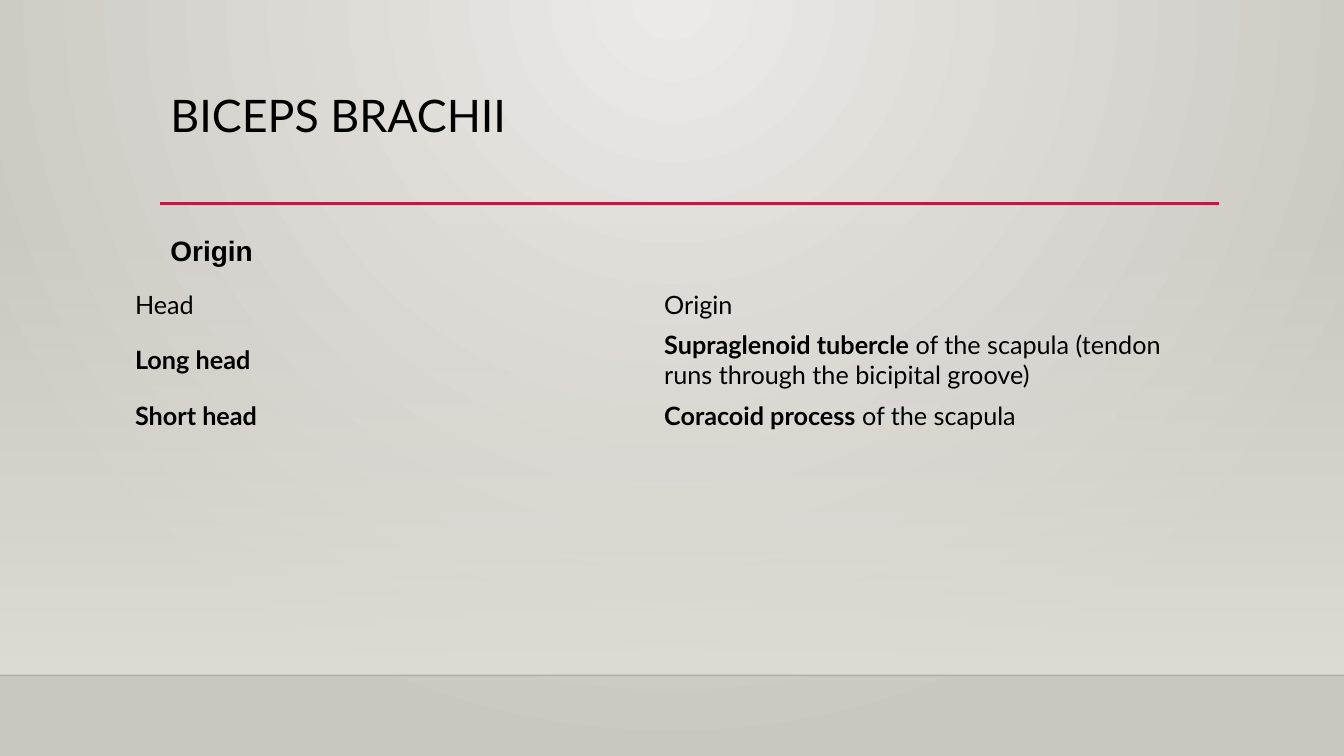
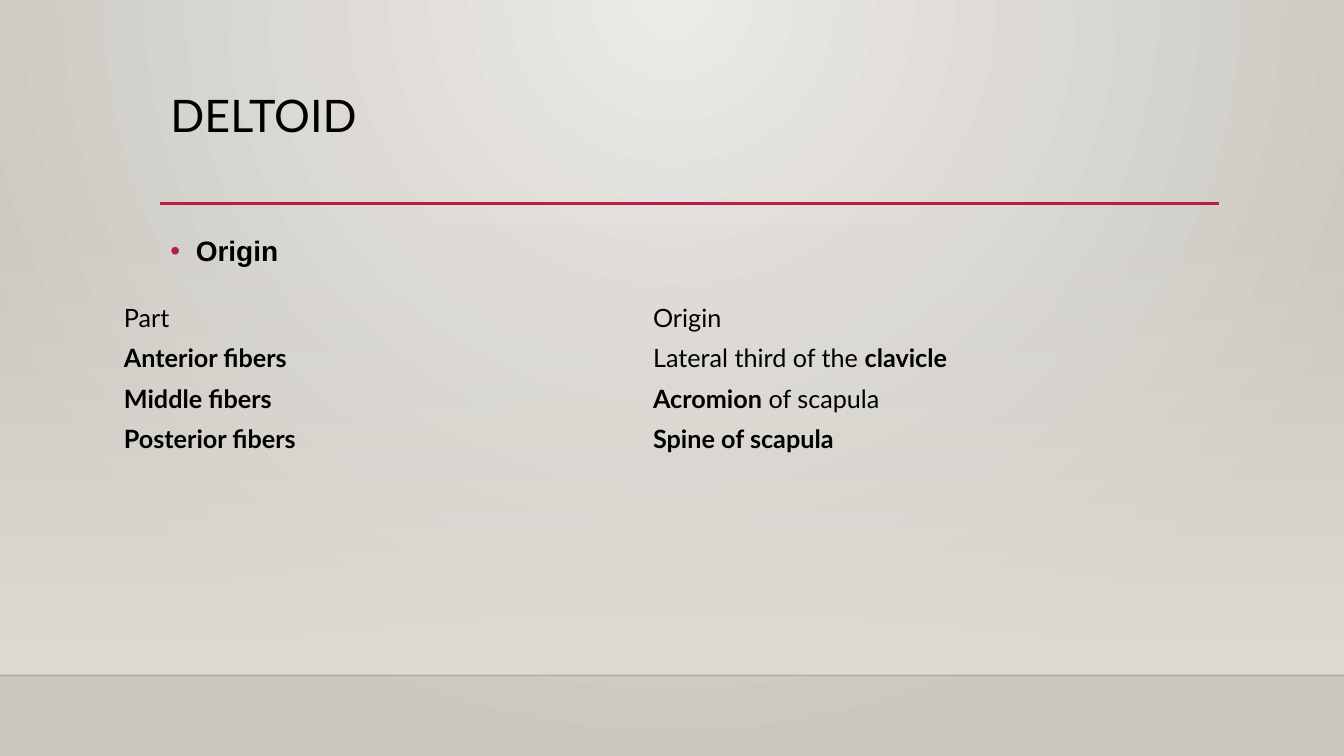
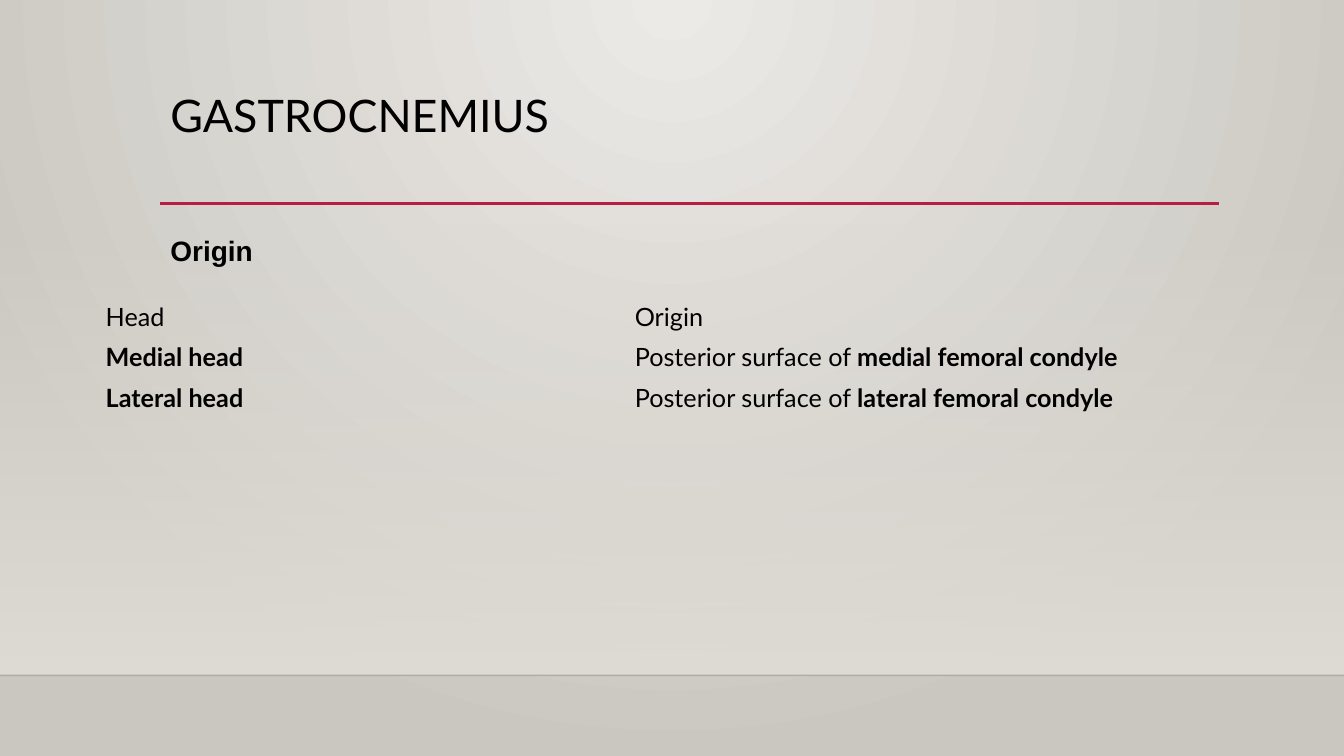
from lxml import etree
from pptx import Presentation
from pptx import util as u
from pptx.dml.color import RGBColor
from pptx.enum import shapes, text
from pptx.oxml.ns import qn

COLORS = {
    "ink": "000000",
    "accent": "B71E42",
    "center": "ECEAE7",
    "edge": "CAC7C1",
    "floor": "DFDBD5",
    "horizon": "000001",
}
WIDTH, HEIGHT = u.Cm(33.87), u.Cm(19.05)
LEFT, CONTENT_WIDTH = u.Cm(4.04), u.Cm(26.67)
HORIZON = u.Cm(17.02)
FLOOR_TOP = u.Cm(5.61)
RULE_TOP, RULE_RIGHT = u.Cm(5.13), u.Cm(30.73)
PLACEHOLDERS = {0: (u.Cm(2.24), u.Cm(2.92)), 1: (u.Cm(5.59), u.Cm(9.58))}
ROW, TALL_ROW = u.Cm(1.02), u.Cm(1.78)
NO_GRID = "{2D5ABB26-0587-4C30-8999-92F81FD0307C}"

MUSCLES = [
    {
        "title": "BICEPS BRACHII",
        "bullet": False,
        "corner": (u.Cm(3.15), u.Cm(7.16)),
        "heights": [ROW, TALL_ROW, ROW],
        "rows": [
            ("Head", "Origin"),
            ("**Long head**", "**Supraglenoid tubercle** of the scapula (tendon runs through the bicipital groove)"),
            ("**Short head**", "**Coracoid process** of the scapula"),
        ],
    },
    {
        "title": "DELTOID",
        "bullet": True,
        "corner": (u.Cm(2.87), u.Cm(7.49)),
        "heights": [ROW] * 4,
        "rows": [
            ("Part", "Origin"),
            ("**Anterior fibers**", "Lateral third of the **clavicle**"),
            ("**Middle fibers**", "**Acromion** of scapula"),
            ("**Posterior fibers**", "**Spine of scapula**"),
        ],
    },
    {
        "title": "GASTROCNEMIUS",
        "bullet": False,
        "corner": (u.Cm(2.41), u.Cm(7.47)),
        "heights": [ROW] * 3,
        "rows": [
            ("Head", "Origin"),
            ("**Medial head**", "Posterior surface of **medial femoral condyle**"),
            ("**Lateral head**", "Posterior surface of **lateral femoral condyle**"),
        ],
    },
]


def rgb(name):
    return RGBColor.from_string(COLORS[name])


def add_xml(parent, tag, **attributes):
    return etree.SubElement(parent, qn(tag), attributes)


def set_alpha(color, percent):
    add_xml(color, "a:alpha", val=str(percent * 1000))


def write(frame, content, font="Lato", size=18, spacing=1.0, before=0,
          anchor=text.MSO_ANCHOR.TOP):
    frame.word_wrap = True
    frame.vertical_anchor = anchor
    paragraph = frame.paragraphs[0]
    paragraph.alignment = text.PP_ALIGN.LEFT
    paragraph.line_spacing = spacing
    paragraph.space_before = u.Pt(before)
    for index, part in enumerate(content.split("**")):
        if part:
            run = paragraph.add_run()
            run.text = part
            run.font.name = font
            run.font.size = u.Pt(size)
            run.font.bold = index % 2 == 1
            run.font.color.rgb = rgb("ink")
    return paragraph


def set_bullet(paragraph, shown):
    properties = paragraph._p.get_or_add_pPr()
    indent = u.Cm(0.64) if shown else 0
    properties.set("marL", str(indent))
    properties.set("indent", str(-indent))
    if shown:
        add_xml(add_xml(properties, "a:buClr"), "a:srgbClr", val=COLORS["accent"])
        add_xml(properties, "a:buFont", typeface="Arial")
        add_xml(properties, "a:buChar", char="•")
    else:
        add_xml(properties, "a:buNone")


def set_gradient(fill, first, last):
    fill.gradient()
    for stop, name in zip(fill.gradient_stops, (first, last)):
        stop.color.rgb = rgb(name)


def add_line(slide, left, right, top, color, width):
    line = slide.shapes.add_connector(shapes.MSO_CONNECTOR.STRAIGHT, left, top, right, top)
    line.line.color.rgb = rgb(color)
    line.line.width = u.Pt(width)
    add_xml(line.element.spPr, "a:effectLst")
    return line


def set_background(master):
    set_gradient(master.background.fill, "center", "edge")
    gradient = master.element.xpath(".//p:bg//a:gradFill")[0]
    gradient.remove(gradient.find(qn("a:lin")))
    circle = add_xml(gradient, "a:path")
    circle.set("path", "circle")
    add_xml(circle, "a:fillToRect", l="43000", t="0", r="43000", b="100000")


def build_master(master, slide):
    set_background(master)
    floor = slide.shapes.add_shape(
        shapes.MSO_SHAPE.RECTANGLE, 0, FLOOR_TOP, WIDTH, HORIZON - FLOOR_TOP)
    floor.shadow.inherit = False
    floor.line.fill.background()
    set_gradient(floor.fill, "floor", "floor")
    floor.fill.gradient_angle = 270
    set_alpha(floor.element.xpath(".//a:gs/a:srgbClr")[0], 0)
    horizon = add_line(slide, 0, WIDTH, HORIZON, "horizon", 1)
    set_alpha(horizon.element.xpath(".//a:ln//a:srgbClr")[0], 20)
    rule = add_line(slide, LEFT, RULE_RIGHT, RULE_TOP, "accent", 2.5)
    for index, shape in enumerate((floor, horizon, rule)):
        shape.element.xpath(".//p:cNvPr")[0].set("id", str(20 + index))
        master.shapes.element.insert(2 + index, shape.element)


def place_placeholders(layout):
    for placeholder in layout.placeholders:
        index = placeholder.placeholder_format.idx
        if index in PLACEHOLDERS:
            placeholder.left, placeholder.width = LEFT, CONTENT_WIDTH
            placeholder.top, placeholder.height = PLACEHOLDERS[index]


def add_origin_table(slide, muscle):
    rows, heights = muscle["rows"], muscle["heights"]
    frame = slide.shapes.add_table(
        len(rows), len(rows[0]), *muscle["corner"], CONTENT_WIDTH, sum(heights))
    frame.element.xpath(".//a:tableStyleId")[0].text = NO_GRID
    table = frame.table
    table.first_row = table.horz_banding = False
    for row, height, contents in zip(table.rows, heights, rows):
        row.height = height
        for cell, content in zip(row.cells, contents):
            cell.fill.background()
            cell.vertical_anchor = text.MSO_ANCHOR.MIDDLE
            write(cell.text_frame, content, anchor=text.MSO_ANCHOR.MIDDLE)


def add_muscle(presentation, layout, muscle):
    slide = presentation.slides.add_slide(layout)
    title, body = slide.shapes.title.text_frame, slide.placeholders[1].text_frame
    title.auto_size = body.auto_size = text.MSO_AUTO_SIZE.NONE
    write(title, muscle["title"], size=32, spacing=0.9)
    heading = write(body, "**Origin**", font="Arial", size=20, spacing=1.2, before=10)
    set_bullet(heading, muscle["bullet"])
    add_origin_table(slide, muscle)
    return slide


def main():
    presentation = Presentation()
    presentation.slide_width, presentation.slide_height = WIDTH, HEIGHT
    layout = presentation.slide_layouts[1]
    place_placeholders(layout)
    slides = [add_muscle(presentation, layout, muscle) for muscle in MUSCLES]
    build_master(presentation.slide_master, slides[0])
    presentation.save("out.pptx")


if __name__ == "__main__":
    main()
